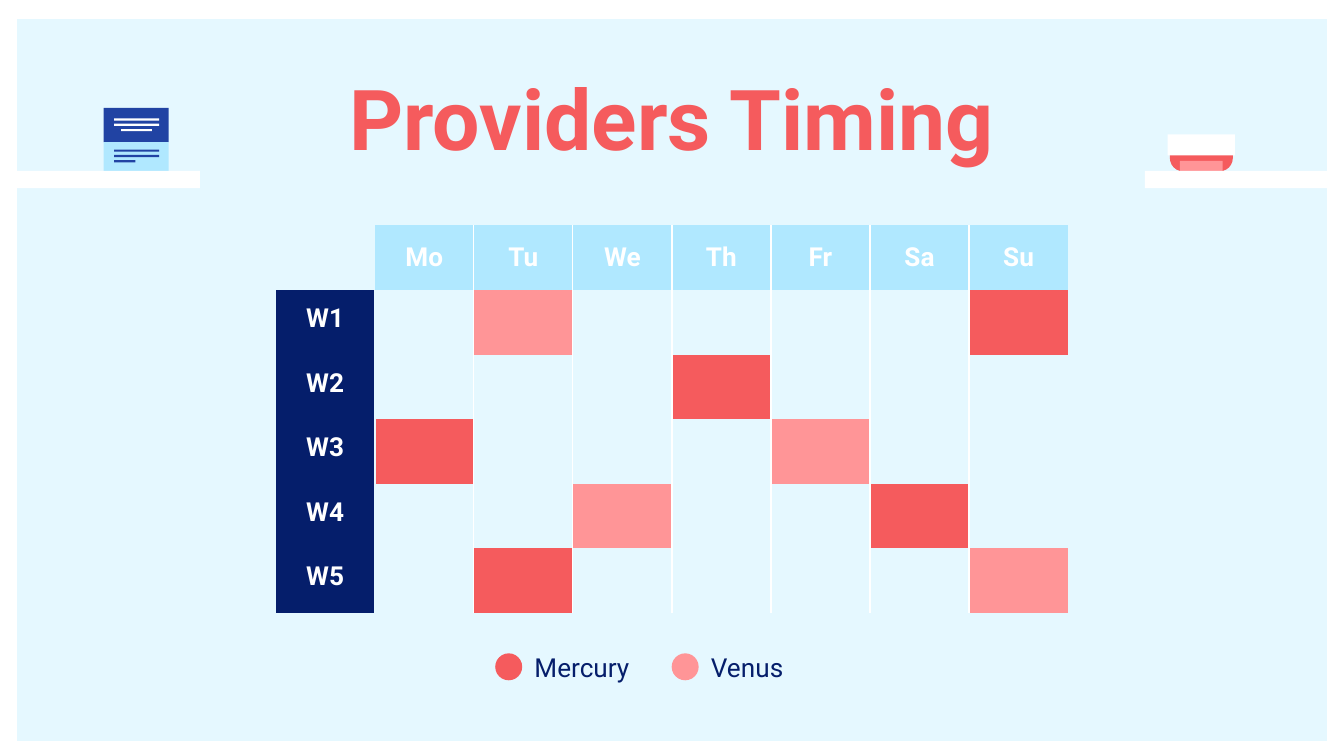
from lxml import etree
from pptx import Presentation
from pptx import util as u
from pptx.dml import color
from pptx.enum import shapes, text
from pptx.oxml import ns

CORAL, PINK, NAVY, BLUE = "F55B5D", "FF9597", "051E6B", "2143A3"
SKY, PALE, WHITE = "B0E8FF", "E5F8FF", "FFFFFF"
NO_STYLE = "{2D5ABB26-0587-4C30-8999-92F81FD0307C}"
INSET = 0.25
DAYS = ["Mo", "Tu", "We", "Th", "Fr", "Sa", "Su"]
WEEKS = ["W1", "W2", "W3", "W4", "W5"]
PROVIDERS = {"Mercury": CORAL, "Venus": PINK}
SHIFTS = {
    "Mercury": [("W1", "Su"), ("W2", "Th"), ("W3", "Mo"), ("W4", "Sa"), ("W5", "Tu")],
    "Venus": [("W1", "Tu"), ("W3", "Fr"), ("W4", "We"), ("W5", "Su")],
}


def rgb(value):
    """Turn a hex string into a colour."""
    return color.RGBColor.from_string(value)


def apply(target, values):
    """Set each attribute of the target from a dict."""
    for name, value in values.items():
        setattr(target, name, value)


def margins(size):
    """Return equal margins for all four sides."""
    return {f"margin_{side}": u.Cm(size) for side in ("left", "right", "top", "bottom")}


def write(para, words, size, tint, bold=False, align=text.PP_ALIGN.CENTER):
    """Write one formatted span into a paragraph."""
    para.alignment = align
    span = para.add_run()
    span.text = words
    apply(span.font, {"name": "Roboto", "size": u.Pt(size), "bold": bold})
    span.font.color.rgb = rgb(tint)


def add_block(page, box, fill, kind=shapes.MSO_SHAPE.RECTANGLE):
    """Draw a plain filled shape without outline or shadow."""
    block = page.shapes.add_shape(kind, *map(u.Cm, box))
    block.shadow.inherit = False
    block.fill.solid()
    block.fill.fore_color.rgb = rgb(fill)
    block.line.fill.background()
    return block


def add_label(page, box, words, size, tint, **style):
    """Add a text box centred vertically and return its paragraph."""
    frame = page.shapes.add_textbox(*map(u.Cm, box)).text_frame
    apply(frame, {"word_wrap": True, "vertical_anchor": text.MSO_ANCHOR.MIDDLE, **margins(INSET)})
    write(frame.paragraphs[0], words, size, tint, **style)
    return frame.paragraphs[0]


def draw_frame(page, box):
    """Outline the page with a thick white border."""
    frame = add_block(page, box, WHITE)
    frame.fill.background()
    frame.line.color.rgb = rgb(WHITE)
    frame.line.width = u.Pt(18)


def draw_leaflet(page, box):
    """Draw the two-part leaflet with its text strokes."""
    left, top, width, height = box
    cover = height * 0.54
    add_block(page, (left, top, width, cover), BLUE)
    add_block(page, (left, top + cover, width, height - cover), SKY)
    strokes = [(0.2, 0.2, 0.85, WHITE), (0.2, 0.3, 0.85, WHITE), (0.33, 0.4, 0.58, WHITE),
               (0.2, 0.79, 0.85, BLUE), (0.2, 0.89, 0.85, BLUE), (0.2, 0.99, 0.4, BLUE)]
    for across, down, length, tint in strokes:
        add_block(page, (left + across, top + down, length, 0.04), tint)


def draw_jar(page, box):
    """Draw the jar with rounded base, lid and label."""
    left, top, width, height = box
    jar = add_block(page, (left + 0.04, top + 0.1, width - 0.08, height - 0.1), CORAL,
                    shapes.MSO_SHAPE.ROUND_2_SAME_RECTANGLE)
    jar.adjustments[0], jar.adjustments[1] = 0, 0.42
    add_block(page, (left, top, width, 0.4), WHITE)
    add_block(page, (left + 0.23, top + 0.5, width - 0.46, 0.25), PINK)


def draw_title(page, box):
    """Place the heading."""
    para = add_label(page, box, "Providers Timing", 45, CORAL, bold=True)
    para.line_spacing = 1.15


def add_border(cell, side, tint, points):
    """Draw one vertical edge of a cell."""
    line = etree.SubElement(cell._tc.get_or_add_tcPr(), ns.qn(f"a:ln{side}"), w=str(u.Pt(points)))
    fill = etree.SubElement(line, ns.qn("a:solidFill"))
    etree.SubElement(fill, ns.qn("a:srgbClr"), val=tint)


def edge(row, col):
    """Return colour and width of the line to the right of a column, if any."""
    if col == 0:
        return (PALE, 1.5) if row else None
    return (WHITE, 0.75) if 0 < col < len(DAYS) else None


def fill_cell(cell, words, fill, anchor):
    """Fill a cell and write its heading, if it has one."""
    if fill:
        cell.fill.solid()
        cell.fill.fore_color.rgb = rgb(fill)
    else:
        cell.fill.background()
    if words:
        apply(cell, {"vertical_anchor": anchor, **margins(INSET)})
        write(cell.text_frame.paragraphs[0], words, 14, WHITE, bold=True)


def draw_schedule(page, box):
    """Build the week-by-day table with coloured shifts."""
    rows, cols = len(WEEKS) + 1, len(DAYS) + 1
    holder = page.shapes.add_table(rows, cols, *map(u.Cm, box))
    table = holder.table
    apply(table, {"first_row": False, "horz_banding": False})
    table._tbl.tblPr.find(ns.qn("a:tableStyleId")).text = NO_STYLE
    for column in table.columns:
        column.width = u.Cm(box[2] / cols)
    for line in table.rows:
        line.height = u.Cm(box[3] / rows)
    booked = {slot: PROVIDERS[name] for name, slots in SHIFTS.items() for slot in slots}
    for row, week in enumerate([""] + WEEKS):
        for col, day in enumerate([""] + DAYS):
            cell = table.cell(row, col)
            for side, line in (("L", edge(row, col - 1)), ("R", edge(row, col))):
                if line:
                    add_border(cell, side, *line)
            if row == 0:
                fill_cell(cell, day, SKY if day else None, text.MSO_ANCHOR.MIDDLE)
            elif col == 0:
                fill_cell(cell, week, NAVY, text.MSO_ANCHOR.TOP)
            else:
                fill_cell(cell, "", booked.get((week, day)), text.MSO_ANCHOR.TOP)


def draw_legend(page, box):
    """Place a dot and a name for each provider."""
    left, top, width, height = box
    pitch, dot = width / len(PROVIDERS), 0.51
    for index, (name, tint) in enumerate(PROVIDERS.items()):
        start = left + index * pitch
        add_label(page, (start + 0.49, top, pitch - 0.49, height), name, 14, NAVY,
                  align=text.PP_ALIGN.LEFT)
        add_block(page, (start, top + (height - dot) / 2, dot, dot), tint, shapes.MSO_SHAPE.OVAL)


def main():
    """Build the slide and save the deck."""
    deck = Presentation()
    apply(deck, {"slide_width": u.Cm(25.4), "slide_height": u.Cm(14.29)})
    page = deck.slides.add_slide(deck.slide_layouts[6])
    page.background.fill.solid()
    page.background.fill.fore_color.rgb = rgb(PALE)
    draw_frame(page, (0, 0.04, 25.4, 14.29))
    draw_leaflet(page, (1.96, 2.04, 1.23, 1.2))
    draw_jar(page, (22.07, 2.54, 1.27, 0.7))
    for left in (-0.31, 21.64):
        add_block(page, (left, 3.23, 4.09, 0.33), WHITE)
    draw_title(page, (1.96, 1.27, 21.47, 1.6))
    draw_schedule(page, (5.21, 4.26, 14.98, 7.33))
    draw_legend(page, (9.36, 12.25, 6.67, 0.71))
    deck.save("out.pptx")


if __name__ == "__main__":
    main()
